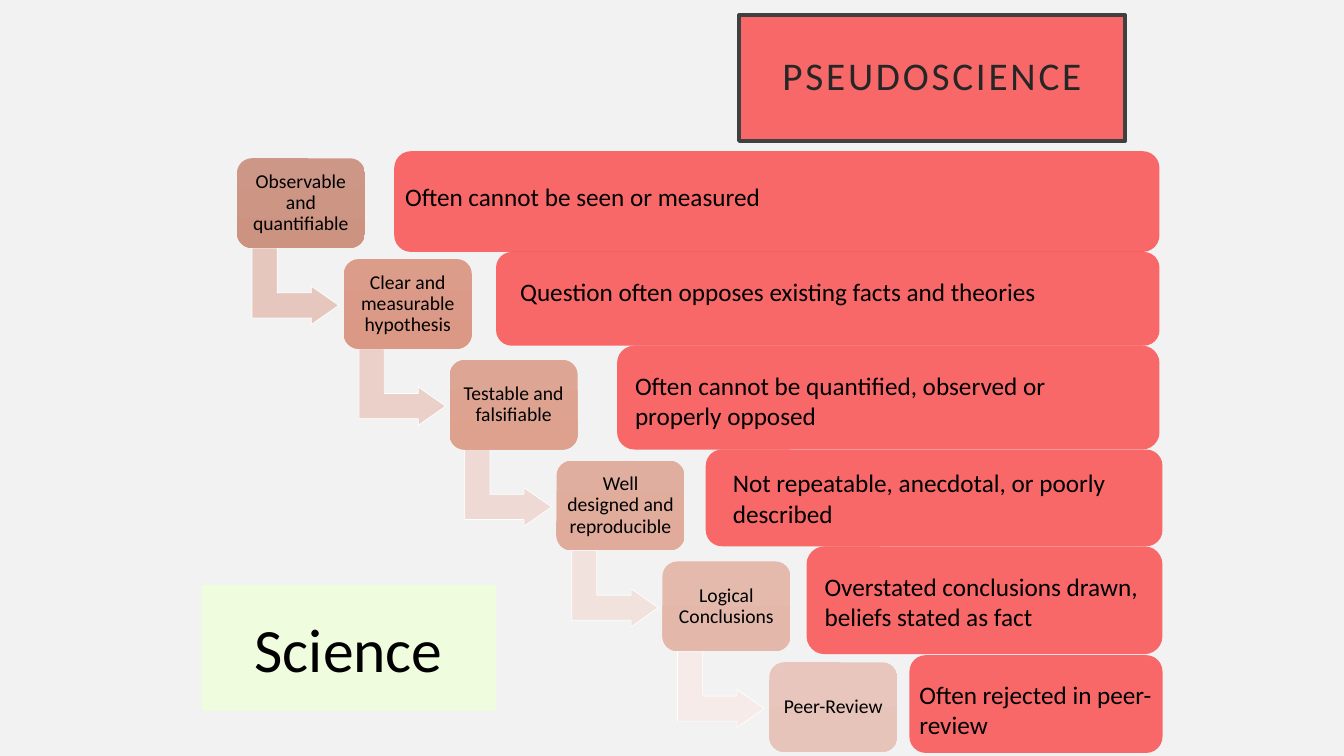
from dataclasses import dataclass

import pptx
import pptx.dml.color
import pptx.enum.shapes
import pptx.enum.text
import pptx.oxml.ns
import pptx.util
from lxml import etree

RGB = pptx.dml.color.RGBColor
SHAPES = pptx.enum.shapes.MSO_SHAPE
ALIGN = pptx.enum.text.PP_ALIGN
ANCHOR = pptx.enum.text.MSO_ANCHOR

EMU_PER_PX = 9144  # 100 px to the inch
FONT = "Calibri"
BACKGROUND = RGB(0xF2, 0xF2, 0xF2)
RED = RGB(0xFE, 0x00, 0x00)
RED_ALPHA = 57000
TITLE_LINE = RGB(0x40, 0x40, 0x40)
TITLE_TEXT = RGB(0x26, 0x26, 0x26)
SCIENCE_GREEN = RGB(0xEF, 0xFC, 0xDE)
BLACK = RGB(0, 0, 0)
WHITE = RGB(0xFF, 0xFF, 0xFF)


@dataclass(frozen=True)
class Box:
    left: int
    top: int
    width: int
    height: int

    def emu(self) -> list[int]:
        return [px * EMU_PER_PX for px in (self.left, self.top, self.width, self.height)]


@dataclass(frozen=True)
class Step:
    label: str
    gradient_top: RGB
    gradient_bottom: RGB
    arrow: RGB | None = None


@dataclass(frozen=True)
class Claim:
    text: str
    bar: Box
    caption: Box
    wraps: bool = True


STEPS = [
    Step("Observable and quantifiable", RGB(0xCD, 0x97, 0x87), RGB(0xCC, 0x93, 0x81), RGB(0xE6, 0xC7, 0xBE)),
    Step("Clear and measurable hypothesis", RGB(0xDB, 0x9C, 0x8A), RGB(0xDB, 0x98, 0x84), RGB(0xEA, 0xD0, 0xC9)),
    Step("Testable and falsifiable", RGB(0xDD, 0xA5, 0x93), RGB(0xDD, 0xA1, 0x8D), RGB(0xEE, 0xD9, 0xD4)),
    Step("Well designed and reproducible", RGB(0xE0, 0xAE, 0x9F), RGB(0xE0, 0xAB, 0x9A), RGB(0xF1, 0xE2, 0xDE)),
    Step("Logical Conclusions", RGB(0xE4, 0xBA, 0xAD), RGB(0xE3, 0xB7, 0xA9), RGB(0xF6, 0xEB, 0xE8)),
    Step("Peer-Review", RGB(0xE8, 0xC6, 0xBD), RGB(0xE7, 0xC4, 0xBA)),
]
CLAIMS = [
    Claim("Often cannot be seen or measured",
          Box(391, 150, 759, 100), Box(392, 175, 377, 40), wraps=False),
    Claim("Question often opposes existing facts and theories",
          Box(492, 250, 658, 93), Box(506, 269, 538, 40), wraps=False),
    Claim("Often cannot be quantified, observed or properly opposed",
          Box(612, 343, 538, 103), Box(620, 362, 500, 71)),
    Claim("Not repeatable, anecdotal, or poorly described",
          Box(700, 446, 453, 96), Box(717, 459, 433, 71)),
    Claim("Overstated conclusions drawn, beliefs stated as fact",
          Box(800, 542, 353, 107), Box(808, 562, 342, 71)),
    Claim("Often rejected in peer-review",
          Box(902, 650, 251, 97), Box(902, 669, 268, 71)),
]


def add_plain_shape(slide, kind, box: Box):
    shape = slide.shapes.add_shape(kind, *box.emu())
    shape.shadow.inherit = False
    shape.line.fill.background()
    return shape


def fill_solid(shape, color: RGB) -> None:
    shape.fill.solid()
    shape.fill.fore_color.rgb = color


def fill_translucent_red(shape) -> None:
    fill_solid(shape, RED)
    color = shape._element.spPr.find(".//" + pptx.oxml.ns.qn("a:srgbClr"))
    etree.SubElement(color, pptx.oxml.ns.qn("a:alpha"), val=str(RED_ALPHA))


def write(shape, text: str, size: int, color: RGB = BLACK, align=ALIGN.CENTER,
          anchor=ANCHOR.MIDDLE, inset: int | None = None, line_spacing: float = 1.0) -> None:
    frame = shape.text_frame
    frame.text = text
    frame.word_wrap = True
    frame.vertical_anchor = anchor
    if inset is not None:
        frame.margin_left = frame.margin_right = inset * EMU_PER_PX
        frame.margin_top = frame.margin_bottom = inset * EMU_PER_PX
    paragraph = frame.paragraphs[0]
    paragraph.alignment = align
    paragraph.line_spacing = line_spacing
    font = paragraph.runs[0].font
    font.name = FONT
    font.size = pptx.util.Pt(size)
    font.color.rgb = color


def add_title(slide) -> None:
    title = add_plain_shape(slide, SHAPES.RECTANGLE, Box(733, 15, 383, 125))
    fill_translucent_red(title)
    title.line.color.rgb = TITLE_LINE
    title.line.width = pptx.util.Pt(2.5)
    write(title, "PSEUDOSCIENCE", 28, TITLE_TEXT, inset=20, line_spacing=0.9)
    title.text_frame.paragraphs[0].runs[0].font._element.set("spc", "200")


def add_step(slide, index: int, step: Step) -> None:
    """Draw a step of the staircase and the bent arrow to the next one."""
    left, top = round(235 + 105.6 * index), 157 + 100 * index
    if step.arrow is not None:
        arrow = add_plain_shape(slide, SHAPES.BENT_UP_ARROW, Box(left + 20, top + 84, 76, 86))
        arrow.rotation = 90
        for position, value in enumerate((0.328, 0.25, 0.358)):
            arrow.adjustments[position] = value
        fill_solid(arrow, step.arrow)
        arrow.line.color.rgb = WHITE
        arrow.line.width = pptx.util.Pt(0.5)
    card = add_plain_shape(slide, SHAPES.ROUNDED_RECTANGLE, Box(left, top, 127, 89))
    card.fill.gradient()
    card.fill.gradient_angle = 270
    for stop, color, position in zip(card.fill.gradient_stops,
                                     (step.gradient_top, step.gradient_bottom), (0, 1)):
        stop.color.rgb = color
        stop.position = position
    write(card, step.label, 14, inset=6, line_spacing=0.9)


def add_caption(slide, claim: Claim) -> None:
    caption = slide.shapes.add_textbox(*claim.caption.emu())
    write(caption, claim.text, 18, align=ALIGN.LEFT, anchor=ANCHOR.TOP)
    caption.text_frame.word_wrap = claim.wraps
    caption.text_frame.auto_size = pptx.enum.text.MSO_AUTO_SIZE.SHAPE_TO_FIT_TEXT


def main() -> None:
    presentation = pptx.Presentation()
    presentation.slide_width = 1333 * EMU_PER_PX
    presentation.slide_height = 750 * EMU_PER_PX
    slide = presentation.slides.add_slide(presentation.slide_layouts[6])
    slide.background.fill.solid()
    slide.background.fill.fore_color.rgb = BACKGROUND

    for claim in CLAIMS:
        fill_translucent_red(add_plain_shape(slide, SHAPES.ROUNDED_RECTANGLE, claim.bar))
    add_title(slide)
    for index, step in enumerate(STEPS):
        add_step(slide, index, step)
    for claim in CLAIMS:
        add_caption(slide, claim)
    science = add_plain_shape(slide, SHAPES.RECTANGLE, Box(200, 580, 292, 125))
    fill_solid(science, SCIENCE_GREEN)
    write(science, "Science", 44)

    presentation.save("out.pptx")


if __name__ == "__main__":
    main()
